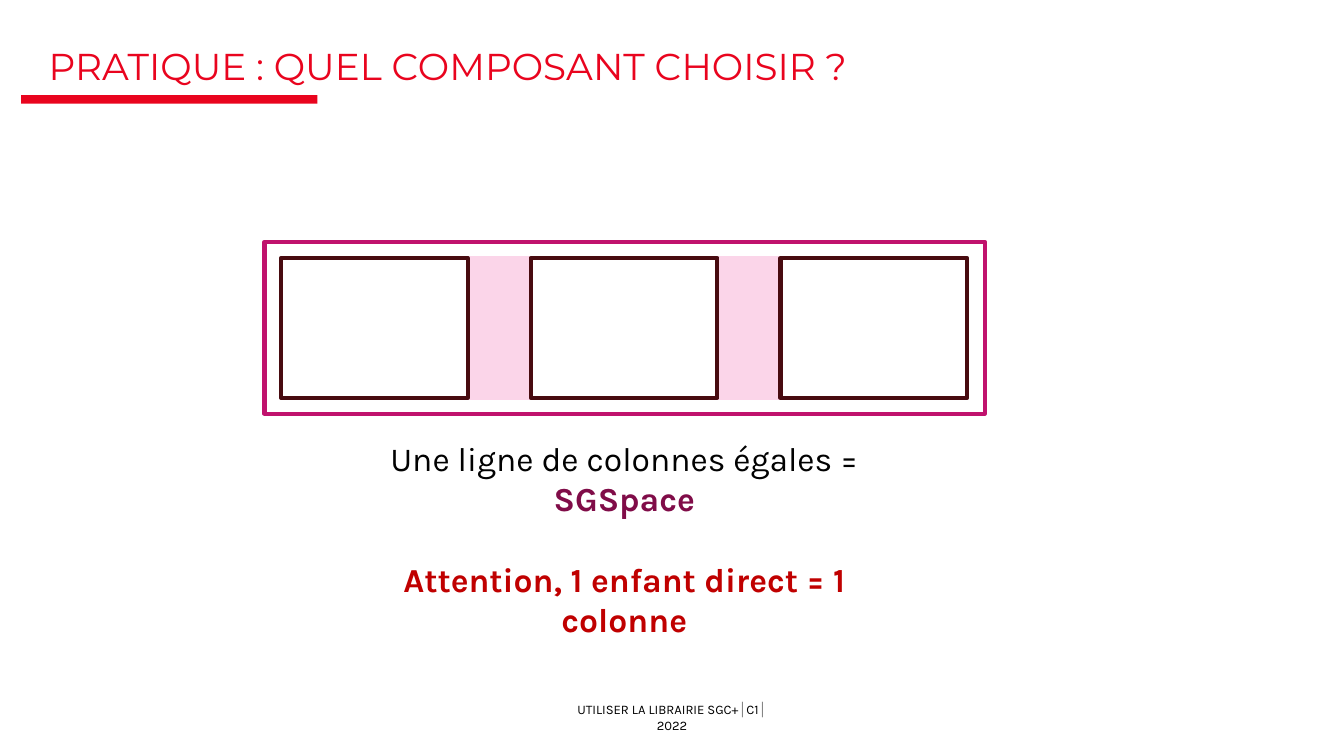
from pptx import Presentation
from pptx.dml.color import RGBColor
from pptx.enum.shapes import MSO_SHAPE
from pptx.enum.text import MSO_ANCHOR, MSO_AUTO_SIZE, PP_ALIGN
from pptx.util import Cm, Pt

COLORS = {
    "red": "E9041E",
    "text": "010101",
    "separator": "808080",
    "component": "800C48",
    "warning": "C00000",
    "frame": "C0126D",
    "gap": "FBD5E9",
    "column": "480B10",
    "white": "FFFFFF",
}


def rgb(name):
    return RGBColor.from_string(COLORS[name])


def add_rectangle(slide, left, top, width, height, fill=None, line=None):
    shape = slide.shapes.add_shape(
        MSO_SHAPE.RECTANGLE, Cm(left), Cm(top), Cm(width), Cm(height))
    shape.shadow.inherit = False
    if fill:
        shape.fill.solid()
        shape.fill.fore_color.rgb = rgb(fill)
    else:
        shape.fill.background()
    if line:
        shape.line.color.rgb = rgb(line)
        shape.line.width = Pt(2.25)
    else:
        shape.line.fill.background()


def add_run(paragraph, text, font, size, color, bold=False):
    run = paragraph.add_run()
    run.text = text
    run.font.name = font
    run.font.size = Pt(size)
    run.font.bold = bold
    run.font.color.rgb = rgb(color)


def set_frame(text_frame, anchor, inset=True):
    text_frame.word_wrap = True
    text_frame.auto_size = MSO_AUTO_SIZE.NONE
    text_frame.vertical_anchor = anchor
    if not inset:
        text_frame.margin_left = text_frame.margin_right = 0
        text_frame.margin_top = text_frame.margin_bottom = 0


def add_title(slide, text):
    title = slide.shapes.title
    title.left, title.top, title.width, title.height = (
        Cm(0.92), Cm(0.99), Cm(23.6), Cm(0.66))
    set_frame(title.text_frame, MSO_ANCHOR.BOTTOM, inset=False)
    paragraph = title.text_frame.paragraphs[0]
    paragraph.alignment = PP_ALIGN.LEFT
    paragraph.line_spacing = 0.75
    add_run(paragraph, text, "Montserrat", 20, "red")


def add_footer(slide):
    box = slide.shapes.add_textbox(Cm(10.67), Cm(13.41), Cm(4.06), Cm(0.3))
    set_frame(box.text_frame, MSO_ANCHOR.MIDDLE, inset=False)
    paragraph = box.text_frame.paragraphs[0]
    paragraph.alignment = PP_ALIGN.CENTER
    for text, color in (
        ("UTILISER LA LIBRAIRIE SGC+", "text"),
        ("│", "separator"),
        ("C1", "text"),
        ("│ ", "separator"),
        ("2022", "text"),
    ):
        add_run(paragraph, text, "Karla", 7, color)


def add_caption(slide):
    box = slide.shapes.add_textbox(Cm(6.15), Cm(8.15), Cm(11.3), Cm(2.57))
    set_frame(box.text_frame, MSO_ANCHOR.TOP)
    answer = box.text_frame.paragraphs[0]
    answer.alignment = PP_ALIGN.CENTER
    add_run(answer, "Une ligne de colonnes égales = ", "Karla", 18, "text")
    add_run(answer, "SGSpace", "Karla", 18, "component", bold=True)
    warning = box.text_frame.add_paragraph()
    warning.alignment = PP_ALIGN.CENTER
    warning.space_before = Pt(21.5)
    add_run(warning, "Attention, 1 enfant direct = 1 colonne",
            "Karla", 18, "warning", bold=True)


def add_column_diagram(slide):
    left, top, height = 5.31, 4.88, 2.64
    column_width, gap_width, column_count = 3.53, 1.19, 3
    pitch = column_width + gap_width

    # Container, then gaps, then columns on top
    add_rectangle(slide, 5, 4.57, 13.61, 3.25, line="frame")
    for index in range(column_count - 1):
        add_rectangle(slide, left + index * pitch + column_width, top,
                      gap_width, height, fill="gap", line="gap")
    for index in range(column_count):
        add_rectangle(slide, left + index * pitch, top,
                      column_width, height, fill="white", line="column")


def main():
    presentation = Presentation()
    presentation.slide_width = Cm(25.4)
    presentation.slide_height = Cm(14.29)
    slide = presentation.slides.add_slide(presentation.slide_layouts[5])

    # Footer, title and its underline
    add_footer(slide)
    add_rectangle(slide, 0.4, 1.8, 5.6, 0.16, fill="red")
    add_title(slide, "PRATIQUE : QUEL COMPOSANT CHOISIR ?")

    # Content
    add_caption(slide)
    add_column_diagram(slide)
    presentation.save("out.pptx")


if __name__ == "__main__":
    main()
